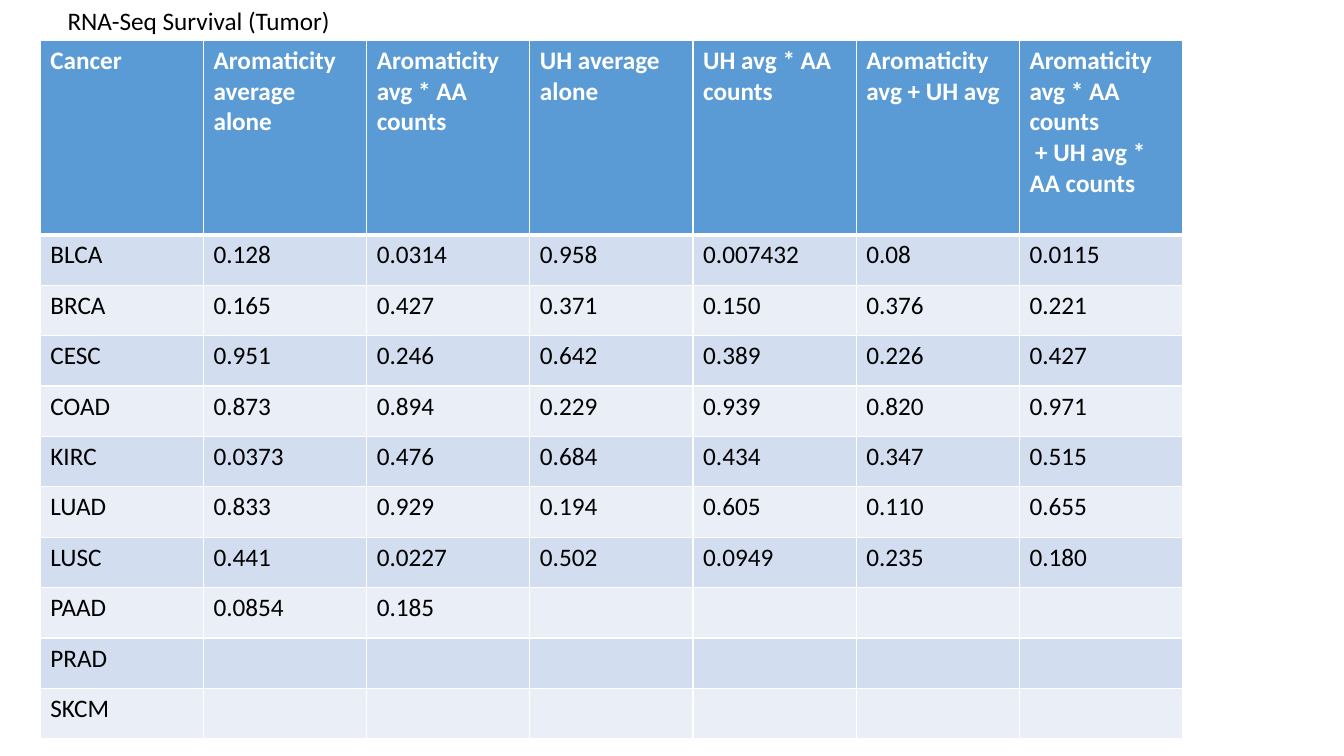
from dataclasses import dataclass

from lxml.etree import SubElement
from pptx import Presentation
from pptx.dml.color import RGBColor as RGB
from pptx.enum.text import MSO_ANCHOR as Anchor, MSO_AUTO_SIZE as AutoSize, PP_ALIGN as Align
from pptx.oxml.ns import qn
from pptx.util import Inches, Pt

COLORS = {"text": "000000", "header_text": "FFFFFF", "header": "5B9BD5",
          "odd": "D2DEEF", "even": "EAEFF7", "rule": "FFFFFF"}
FONT = "Calibri"
WIDTH, HEIGHT = 13.33, 7.5
LEFT, TOP = 0.4, 0.4
TABLE_WIDTH, HEADER_HEIGHT, ROW_HEIGHT = 11.33, 1.93, 0.5
THIN, THICK = 1, 3

HEADINGS = ["Cancer", "Aromaticity average alone", "Aromaticity avg * AA counts",
            "UH average alone", "UH avg * AA counts", "Aromaticity avg + UH avg",
            "Aromaticity avg * AA counts\n + UH avg * AA counts"]


@dataclass
class Survival:
    """One cancer type with its values in column order."""
    cancer: str
    values: tuple[str, ...] = ()


RESULTS = [
    Survival("BLCA", ("0.128", "0.0314", "0.958", "0.007432", "0.08", "0.0115")),
    Survival("BRCA", ("0.165", "0.427", "0.371", "0.150", "0.376", "0.221")),
    Survival("CESC", ("0.951", "0.246", "0.642", "0.389", "0.226", "0.427")),
    Survival("COAD", ("0.873", "0.894", "0.229", "0.939", "0.820", "0.971")),
    Survival("KIRC", ("0.0373", "0.476", "0.684", "0.434", "0.347", "0.515")),
    Survival("LUAD", ("0.833", "0.929", "0.194", "0.605", "0.110", "0.655")),
    Survival("LUSC", ("0.441", "0.0227", "0.502", "0.0949", "0.235", "0.180")),
    Survival("PAAD", ("0.0854", "0.185")),
    Survival("PRAD"),
    Survival("SKCM"),
]


def write(tf, text: str, *, size: float = 18, color: str = "text", bold: bool = False) -> None:
    """Write text into a frame, one left-aligned paragraph per line."""
    tf.word_wrap = True
    for i, line in enumerate(text.split("\n")):
        p = tf.paragraphs[0] if i == 0 else tf.add_paragraph()
        p.alignment = Align.LEFT
        p.font.size = Pt(size)
        if line:
            r = p.add_run()
            r.text = line
            r.font.name, r.font.size, r.font.bold = FONT, Pt(size), bold
            r.font.color.rgb = RGB.from_string(COLORS[color])


def set_borders(cell, **widths: float) -> None:
    """Draw the cell's borders, with widths in points by side letter."""
    tc_pr = cell._tc.get_or_add_tcPr()
    for side, width in widths.items():
        ln = SubElement(tc_pr, qn(f"a:ln{side}"), w=str(Pt(width)))
        fill = SubElement(ln, qn("a:solidFill"))
        SubElement(fill, qn("a:srgbClr"), val=COLORS["rule"])


def fill_cell(cell, text: str, row: int) -> None:
    """Fill one cell in the style of its row."""
    header = row == 0
    set_borders(cell, L=THIN, R=THIN, T=THICK if row == 1 else THIN,
                B=THICK if header else THIN)
    band = "header" if header else "odd" if row % 2 else "even"
    cell.fill.solid()
    cell.fill.fore_color.rgb = RGB.from_string(COLORS[band])
    write(cell.text_frame, text, color="header_text" if header else "text", bold=header)


def add_title(s, text: str) -> None:
    """Place the slide title above the table."""
    sp = s.shapes.title
    sp.left, sp.top, sp.width, sp.height = map(Inches, (0.57, 0, 3.48, 0.4))
    tf = sp.text_frame
    tf.auto_size, tf.vertical_anchor = AutoSize.NONE, Anchor.TOP
    write(tf, text)


def add_survival_table(s) -> None:
    """Add the heading row and one row per cancer."""
    rows = [HEADINGS] + [[x.cancer, *x.values] for x in RESULTS]
    n = len(HEADINGS)
    height = HEADER_HEIGHT + ROW_HEIGHT * len(RESULTS)
    table = s.shapes.add_table(len(rows), n, Inches(LEFT), Inches(TOP),
                               Inches(TABLE_WIDTH), Inches(height)).table
    for column in table.columns:
        column.width = Inches(TABLE_WIDTH / n)
    for i, texts in enumerate(rows):
        table.rows[i].height = Inches(ROW_HEIGHT if i else HEADER_HEIGHT)
        for j in range(n):
            fill_cell(table.cell(i, j), texts[j] if j < len(texts) else "", i)


prs = Presentation()
prs.slide_width, prs.slide_height = Inches(WIDTH), Inches(HEIGHT)
s = prs.slides.add_slide(prs.slide_layouts.get_by_name("Title Only"))
add_title(s, "RNA-Seq Survival (Tumor)")
add_survival_table(s)
prs.save("out.pptx")
